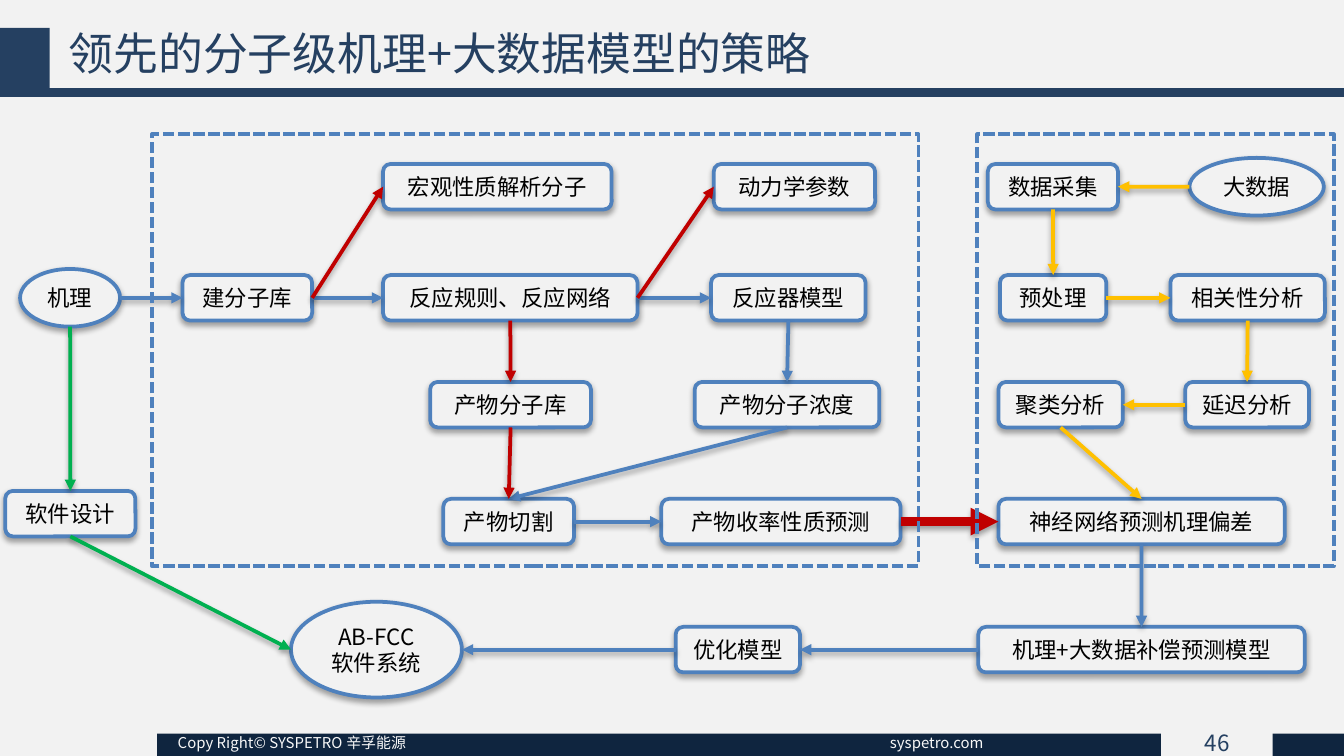
from dataclasses import dataclass

from lxml import etree
from pptx import Presentation
from pptx.dml.color import RGBColor
from pptx.enum.dml import MSO_LINE
from pptx.enum.shapes import MSO_CONNECTOR, MSO_SHAPE
from pptx.enum.text import MSO_ANCHOR, MSO_AUTO_SIZE, PP_ALIGN
from pptx.oxml.ns import qn
from pptx.util import Cm, Pt

RECT, ROUND, OVAL = MSO_SHAPE.RECTANGLE, MSO_SHAPE.ROUNDED_RECTANGLE, MSO_SHAPE.OVAL
STRAIGHT = MSO_CONNECTOR.STRAIGHT
SYS_DASH = MSO_LINE.SQUARE_DOT
MIDDLE, CENTER, LEFT = MSO_ANCHOR.MIDDLE, PP_ALIGN.CENTER, PP_ALIGN.LEFT
NO_AUTOSIZE = MSO_AUTO_SIZE.NONE

TOP, WEST, BOTTOM, EAST = range(4)
SIDE_POINTS = {TOP: (0.5, 0), WEST: (0, 0.5), BOTTOM: (0.5, 1), EAST: (1, 0.5)}
PAGE_WIDTH, PAGE_HEIGHT = 25.4, 14.29
BOX_HEIGHT = 0.86


@dataclass(frozen=True)
class Theme:
    """Colours, font and type sizes of the slide."""

    font: str = "Noto Sans CJK SC"
    paper: str = "F2F2F2"
    navy: str = "254061"
    footer: str = "0F253F"
    footer_text: str = "F8F8F8"
    ink: str = "000000"
    blue: str = "4F81BD"
    red: str = "C00000"
    yellow: str = "FFC000"
    green: str = "00B050"
    title_size: float = 24
    label_size: float = 12
    footer_size: float = 8
    line_width: float = 2


class FlowSlide:
    """Draws the parts of a flow chart on one slide."""

    def __init__(self, slide, theme):
        self.slide, self.theme, self.nodes = slide, theme, {}
        slide.background.fill.solid()
        slide.background.fill.fore_color.rgb = RGBColor.from_string(theme.paper)

    def add_words(self, paragraph, text, size, color, align=CENTER):
        paragraph.alignment = align
        run = paragraph.add_run()
        run.text = text
        run.font.size = Pt(size)
        run.font.name = self.theme.font
        run.font.color.rgb = RGBColor.from_string(color)
        etree.SubElement(run.font._element, qn("a:ea"), typeface=self.theme.font)

    def inset(self, frame, margin):
        frame.margin_left = frame.margin_right = Cm(margin)
        frame.margin_top = frame.margin_bottom = Cm(margin)

    def cast_shadow(self, effects):
        outer = etree.SubElement(effects, qn("a:outerShdw"), blurRad=str(Pt(3)),
                                 dist=str(Pt(1.8)), dir="5400000", rotWithShape="0")
        tint = etree.SubElement(outer, qn("a:srgbClr"), val=self.theme.ink)
        etree.SubElement(tint, qn("a:alpha"), val="35000")

    def outline(self, line, color, width):
        line.color.rgb = RGBColor.from_string(color)
        line.width = Pt(width)

    def title(self, text):
        heading = self.slide.shapes.title
        heading.left, heading.top = Cm(1.22), Cm(0.36)
        heading.width, heading.height = Cm(22.28), Cm(1.27)
        frame = heading.text_frame
        frame.auto_size, frame.vertical_anchor = NO_AUTOSIZE, MIDDLE
        self.inset(frame, 0.08)
        self.add_words(frame.paragraphs[0], text, self.theme.title_size, self.theme.navy, LEFT)

    def bar(self, left, top, width, height, color):
        band = self.slide.shapes.add_shape(RECT, Cm(left), Cm(top), Cm(width), Cm(height))
        band.shadow.inherit = False
        band.fill.solid()
        band.fill.fore_color.rgb = RGBColor.from_string(color)
        band.line.fill.background()

    def rule(self, y, width):
        stroke = self.slide.shapes.add_connector(STRAIGHT, 0, Cm(y), Cm(PAGE_WIDTH), Cm(y))
        self.outline(stroke.line, self.theme.navy, width)
        etree.SubElement(stroke._element.spPr, qn("a:effectLst"))

    def caption(self, left, width, text, size, color, margin, align, tab=None):
        note = self.slide.shapes.add_textbox(Cm(left), Cm(13.79), Cm(width), Cm(0.5))
        frame = note.text_frame
        frame.word_wrap, frame.vertical_anchor = True, MIDDLE
        self.inset(frame, margin)
        paragraph = frame.paragraphs[0]
        if tab:
            stops = etree.SubElement(paragraph._p.get_or_add_pPr(), qn("a:tabLst"))
            etree.SubElement(stops, qn("a:tab"), pos=str(Cm(tab)), algn="l")
        self.add_words(paragraph, text, size, color, align)

    def node(self, label, left, middle, width, kind=ROUND, height=BOX_HEIGHT):
        theme = self.theme
        step = self.slide.shapes.add_shape(
            kind, Cm(left), Cm(middle - height / 2), Cm(width), Cm(height))
        step.fill.solid()
        step.fill.fore_color.rgb = RGBColor.from_string(theme.paper)
        self.outline(step.line, theme.blue, theme.line_width)
        step.shadow.inherit = False
        self.cast_shadow(step._element.spPr.find(qn("a:effectLst")))
        frame = step.text_frame
        frame.word_wrap, frame.vertical_anchor = False, MIDDLE
        self.inset(frame, 0.13)
        for index, words in enumerate(label.split("\n")):
            paragraph = frame.add_paragraph() if index else frame.paragraphs[0]
            self.add_words(paragraph, words, theme.label_size, theme.ink)
        self.nodes[label] = step

    def side(self, step, index):
        across, down = SIDE_POINTS[index]
        return int(step.left + across * step.width), int(step.top + down * step.height)

    def arrow(self, source, leave, target, enter, color, width=None):
        start, finish = self.nodes[source], self.nodes[target]
        link = self.slide.shapes.add_connector(
            STRAIGHT, *self.side(start, leave), *self.side(finish, enter))
        if start.auto_shape_type == ROUND:
            link.begin_connect(start, leave)
        if finish.auto_shape_type == ROUND:
            link.end_connect(finish, enter)
        self.outline(link.line, color, width or self.theme.line_width)
        properties = link._element.spPr
        etree.SubElement(properties.find(qn("a:ln")), qn("a:tailEnd"), type="triangle")
        self.cast_shadow(etree.SubElement(properties, qn("a:effectLst")))

    def frame(self, left, width):
        border = self.slide.shapes.add_shape(RECT, Cm(left), Cm(2.54), Cm(width), Cm(8.16))
        border.shadow.inherit = False
        border.fill.background()
        self.outline(border.line, self.theme.blue, self.theme.line_width)
        border.line.dash_style = SYS_DASH


SYSTEM = "AB-FCC\n软件系统"
ROWS = {
    3.53: [("宏观性质解析分子", 7.24, 4.32), ("动力学参数", 13.49, 3.05),
           ("数据采集", 18.67, 2.46), ("大数据", 22.48, 2.54, OVAL, 1.09)],
    5.63: [("机理", 0.38, 1.89, OVAL, 1.09), ("建分子库", 3.45, 2.45),
           ("反应规则、反应网络", 7.24, 4.81), ("反应器模型", 13.44, 2.92),
           ("预处理", 18.9, 2.01), ("相关性分析", 22.12, 2.92)],
    7.65: [("产物分子库", 8.13, 3.04), ("产物分子浓度", 13.13, 3.49),
           ("聚类分析", 18.87, 2.35), ("延迟分析", 22.4, 2.34)],
    9.71: [("软件设计", 0.1, 2.46)],
    9.86: [("产物切割", 8.38, 2.47), ("产物收率性质预测", 12.5, 4.52),
           ("神经网络预测机理偏差", 18.87, 5.41)],
    12.28: [(SYSTEM, 5.5, 3.23, OVAL, 1.81), ("优化模型", 12.77, 2.35),
            ("机理+大数据补偿预测模型", 18.49, 6.17)],
}


def main():
    theme = Theme()
    deck = Presentation()
    deck.slide_width, deck.slide_height = Cm(PAGE_WIDTH), Cm(PAGE_HEIGHT)
    page = FlowSlide(deck.slides.add_slide(deck.slide_layouts[5]), theme)

    page.rule(1.75, 4.5)
    page.bar(0, 0.53, 0.94, 1.19, theme.navy)
    page.bar(2.97, 13.87, 18.97, 0.42, theme.footer)
    page.bar(24.05, 13.87, 1.35, 0.42, theme.footer)
    page.caption(21.95, 2.11, "46", theme.label_size, theme.navy, 0, CENTER)
    page.caption(3.23, 18.47, "Copy Right© SYSPETRO 辛孚能源\tsyspetro.com",
                 theme.footer_size, theme.footer_text, 0.13, LEFT, tab=13.46)
    page.title("领先的分子级机理+大数据模型的策略")

    for middle, steps in ROWS.items():
        for label, left, width, *form in steps:
            page.node(label, left, middle, width, *form)

    flows = {
        theme.blue: [
            ("机理", EAST, "建分子库", WEST),
            ("建分子库", EAST, "反应规则、反应网络", WEST),
            ("反应规则、反应网络", EAST, "反应器模型", WEST),
            ("反应器模型", BOTTOM, "产物分子浓度", TOP),
            ("产物分子浓度", BOTTOM, "产物切割", TOP),
            ("产物切割", EAST, "产物收率性质预测", WEST),
            ("神经网络预测机理偏差", BOTTOM, "机理+大数据补偿预测模型", TOP),
            ("机理+大数据补偿预测模型", WEST, "优化模型", EAST),
            ("优化模型", WEST, SYSTEM, EAST)],
        theme.red: [
            ("建分子库", EAST, "宏观性质解析分子", WEST),
            ("反应规则、反应网络", EAST, "动力学参数", WEST),
            ("反应规则、反应网络", BOTTOM, "产物分子库", TOP),
            ("产物分子库", BOTTOM, "产物切割", TOP)],
        theme.yellow: [
            ("大数据", WEST, "数据采集", EAST),
            ("数据采集", BOTTOM, "预处理", TOP),
            ("预处理", EAST, "相关性分析", WEST),
            ("相关性分析", BOTTOM, "延迟分析", TOP),
            ("延迟分析", WEST, "聚类分析", EAST),
            ("聚类分析", BOTTOM, "神经网络预测机理偏差", TOP)],
        theme.green: [
            ("机理", BOTTOM, "软件设计", TOP),
            ("软件设计", BOTTOM, SYSTEM, WEST)],
    }
    for color, links in flows.items():
        for link in links:
            page.arrow(*link, color)
    page.arrow("产物收率性质预测", EAST, "神经网络预测机理偏差", WEST, theme.red, 5)

    page.frame(2.87, 14.49)
    page.frame(18.47, 6.74)
    deck.save("out.pptx")


if __name__ == "__main__":
    main()
